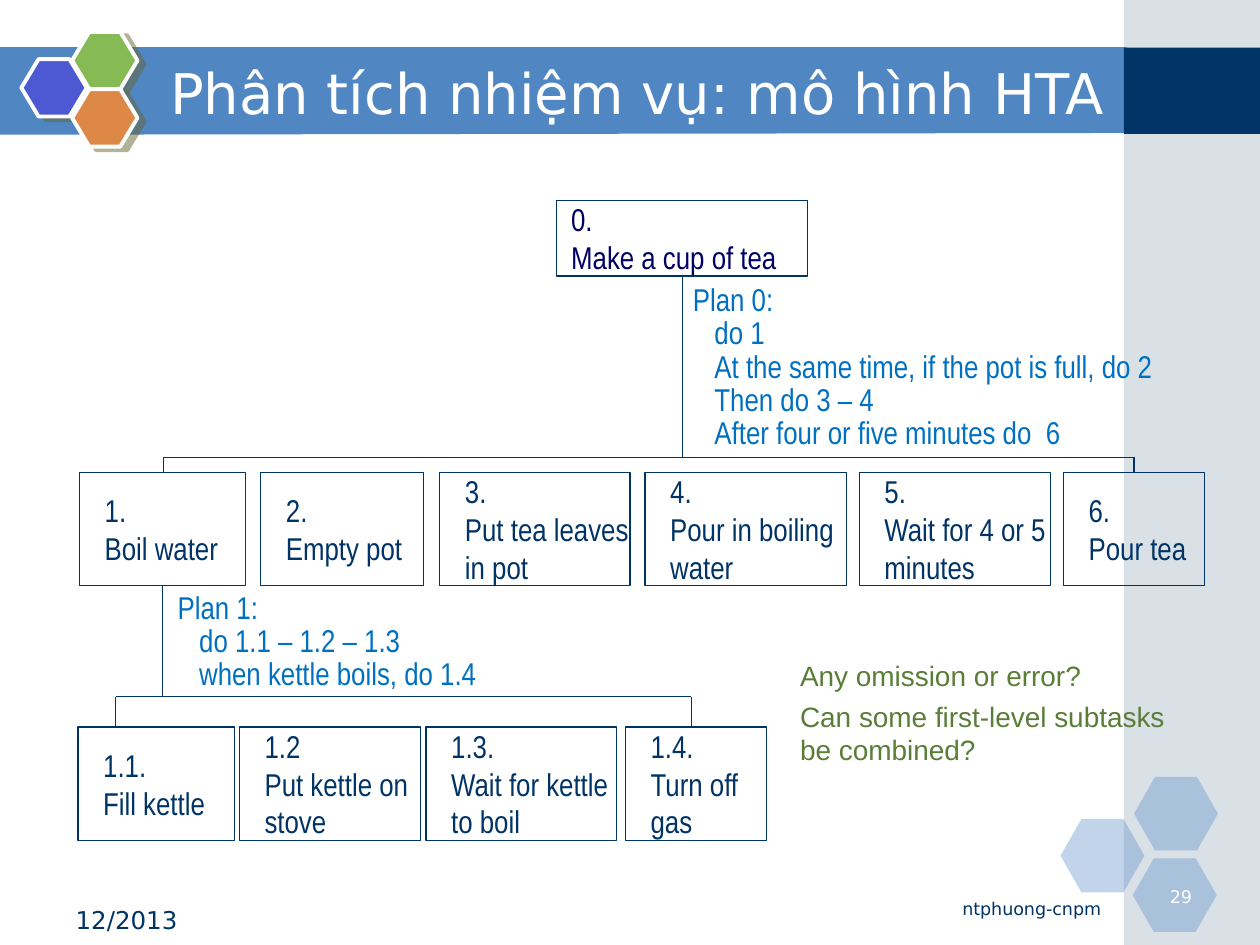
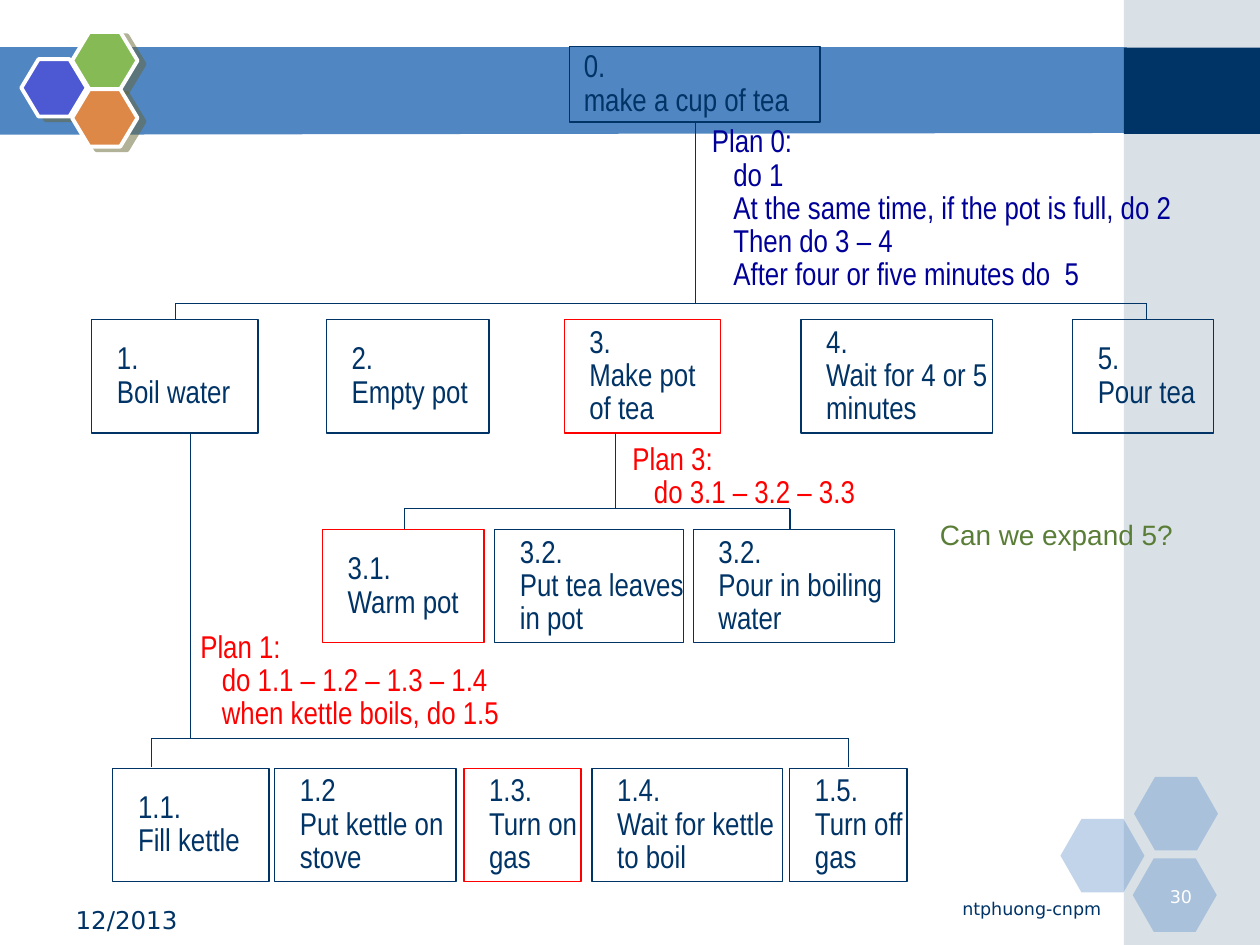
from lxml.etree import SubElement
from pptx import Presentation
from pptx.dml.color import RGBColor
from pptx.enum.shapes import MSO_CONNECTOR, MSO_SHAPE
from pptx.enum.text import MSO_ANCHOR, PP_ALIGN
from pptx.oxml.ns import qn
from pptx.util import Pt

HUES = {
    "navy": "003366", "band": "5086C2", "side": "A0B5C4", "white": "FFFFFF",
    "blue": "4C59D2", "lime": "85BA54", "orange": "DE8848", "shade": "666633",
    "root": "000066", "sky": "0070C0", "deep": "000099", "red": "FF0000",
    "moss": "5A7E38",
}
RECT, HEX = MSO_SHAPE.RECTANGLE, MSO_SHAPE.HEXAGON
BOX_H = 64.8
LEAD = 19  # line pitch of plans and of the second slide


def draw(slide, kind, at, fill=None, edge=None, thick=0.75, alpha=None):
    """Add a preset shape with plain fill and edge."""
    shape = slide.shapes.add_shape(kind, *map(Pt, at))
    shape.shadow.inherit = False
    if fill:
        shape.fill.solid()
        shape.fill.fore_color.rgb = RGBColor.from_string(HUES[fill])
    else:
        shape.fill.background()
    if alpha:
        tone = shape.fill._xPr.find(qn("a:solidFill"))[0]
        SubElement(tone, qn("a:alpha")).set("val", str(alpha * 1000))
    if edge:
        shape.line.color.rgb = RGBColor.from_string(HUES[edge])
        shape.line.width = Pt(thick)
    else:
        shape.line.fill.background()
    return shape


def write(slide, at, text, shape=None, size=18, font="Arial Narrow",
          hue="navy", align=PP_ALIGN.LEFT, anchor=MSO_ANCHOR.TOP,
          inset=0, lead=None, indent=0):
    """Write lines into a shape, or into a new text box at the given place."""
    shape = shape or slide.shapes.add_textbox(*map(Pt, at))
    frame = shape.text_frame
    frame.word_wrap = True
    frame.vertical_anchor = anchor
    frame.margin_left, frame.margin_right = Pt(inset), 0
    frame.margin_top = frame.margin_bottom = Pt(3.6)
    for i, line in enumerate(text.split("\n")):
        para = frame.paragraphs[0] if i == 0 else frame.add_paragraph()
        para.alignment = align
        if lead:
            para.line_spacing = Pt(lead)
        if i and indent:
            para._p.get_or_add_pPr().set("marL", str(Pt(indent)))
        run = para.add_run()
        run.text = line
        run.font.size, run.font.name = Pt(size), font
        run.font.color.rgb = RGBColor.from_string(HUES[hue])


PLAN = ("Plan 0:\ndo 1\nAt the same time, if the pot is full, do 2\n"
        "Then do 3 – 4\nAfter four or five minutes do  ")

# rows: top, then boxes (left, width, text, edge)
# trees: stem x, stem top, bar y, bar left, bar right, drop end
# plans and notes: left, top, width, text (and colour)
PAGES = [
    {
        "title": "Phân tích nhiệm vụ: mô hình HTA", "number": "29", "lead": None,
        "root": (318.2, 114.5, "0.\nMake a cup of tea", "root"),
        "rows": [
            (270, [
                (45.4, 95, "1.\nBoil water", "navy"),
                (149, 92.9, "2.\nEmpty pot", "navy"),
                (251.3, 108.7, "3.\nPut tea leaves in pot", "navy"),
                (368.6, 115.2, "4.\nPour in boiling water", "navy"),
                (491, 109.4, "5.\nWait for 4 or 5 minutes", "navy"),
                (607.7, 80.6, "6.\nPour tea", "navy")]),
            (415.4, [
                (44.6, 89.3, "1.1.\nFill kettle", "navy"),
                (136.8, 103.7, "1.2\nPut kettle on stove", "navy"),
                (243.4, 108.7, "1.3.\nWait for kettle to boil", "navy"),
                (357.4, 80.6, "1.4.\nTurn off gas", "navy")]),
        ],
        "trees": [(390.2, 158, 261.4, 93.4, 648, 270),
                  (92.9, 335, 398.2, 66.2, 395, 415)],
        "plans": [
            (396, 159.1, 288, PLAN + "6", "sky"),
            (101.5, 334.8, 206, "Plan 1:\ndo 1.1 – 1.2 – 1.3\n"
             "when kettle boils, do 1.4", "sky")],
        "notes": [(457.2, 373, 214, "Any omission or error?"),
                  (457.2, 396, 214,
                   "Can some first-level subtasks be combined?")],
    },
    {
        "title": None, "number": "30", "lead": LEAD,
        "root": (325.4, 26.6, "0.\nmake a cup of tea", "navy"),
        "rows": [
            (182.6, [
                (52.4, 95, "1.\nBoil water", "navy"),
                (186.5, 92.9, "2.\nEmpty pot", "navy"),
                (322.4, 89.3, "3.\nMake pot of tea", "red"),
                (457.7, 109.4, "4.\nWait for 4 or 5 minutes", "navy"),
                (612.9, 80.6, "5.\nPour tea", "navy")]),
            (302.6, [
                (184.3, 92.2, "3.1.\nWarm pot", "red"),
                (282.7, 108, "3.2.\nPut tea leaves in pot", "navy"),
                (396.2, 115.2, "3.2.\nPour in boiling water", "navy")]),
            (439, [
                (64.5, 89.3, "1.1.\nFill kettle", "navy"),
                (157, 103.7, "1.2\nPut kettle on stove", "navy"),
                (265.1, 67, "1.3.\nTurn on gas", "red"),
                (338.3, 108.7, "1.4.\nWait for kettle to boil", "navy"),
                (451.3, 67, "1.5.\nTurn off gas", "navy")]),
        ],
        "trees": [(397.4, 70, 173.4, 100.3, 655.2, 182.3),
                  (108.7, 248, 421.9, 86.4, 484.9, 438.5),
                  (351.8, 247.6, 290.7, 231, 451.4, 302.2)],
        "plans": [
            (406.8, 68.4, 288, PLAN + "5", "deep"),
            (114.5, 357.1, 216, "Plan 1:\ndo 1.1 – 1.2 – 1.3 – 1.4\n"
             "when kettle boils, do 1.5", "red"),
            (361.4, 249.8, 146, "Plan 3:\ndo 3.1 – 3.2 – 3.3", "red")],
        "notes": [(537.1, 292.3, 158, "Can we expand 5?")],
    },
]

deck = Presentation()
deck.slide_width, deck.slide_height = Pt(720), Pt(540)

for page in PAGES:
    slide = deck.slides.add_slide(deck.slide_layouts[6])

    # Title band and side strip
    pen = slide.shapes.build_freeform(-0.7, 27.2, scale=Pt(1))
    pen.add_line_segments([(644.4, 27.2), (644.4, 76.3), (-0.7, 77)])
    band = pen.convert_to_shape()
    band.shadow.inherit = False
    band.fill.solid()
    band.fill.fore_color.rgb = RGBColor.from_string(HUES["band"])
    band.line.fill.background()
    draw(slide, RECT, (642.2, 0, 77.8, 540), "side", alpha=40)
    draw(slide, RECT, (642.2, 27.2, 77.8, 49.3), "navy")

    # Hexagons: pale ones at the foot, bright ones with a shadow at the head
    for left, top in [(606, 468), (648, 444), (647.3, 490.5)]:
        cell = draw(slide, HEX, (left, top, 48, 42), "band", alpha=35)
        cell.adjustments[0] = 0.286
    for left, top, hue in [(12.2, 33.8, "blue"), (41.2, 18.2, "lime"),
                           (41.2, 51, "orange")]:
        cell = draw(slide, HEX, (left, top, 37.4, 32.8), hue, "white", 2.25)
        cell.adjustments[0] = 0.3
        effect = cell._element.spPr.find(qn("a:effectLst"))
        cast = SubElement(effect, qn("a:outerShdw"), blurRad="0",
                          dist=str(Pt(4.5)), dir=str(27 * 60000),
                          algn="ctr", rotWithShape="0")
        tone = SubElement(cast, qn("a:srgbClr"), val=HUES["shade"])
        SubElement(tone, qn("a:alpha"), val="50000")

    # Title and footers
    if page["title"]:
        write(slide, (97.2, 30.2, 622, 44.6), page["title"], size=32,
              font="DejaVu Sans", hue="white", anchor=MSO_ANCHOR.MIDDLE)
    write(slide, (43.2, 513.4, 153, 19.4), "12/2013", size=14,
          font="DejaVu Sans")
    for at, text, hue in [
            ((415.4, 509.8, 213.8, 18.7), "ntphuong-cnpm", "navy"),
            ((652.3, 502.6, 28.8, 18), page["number"], "white")]:
        write(slide, at, text, size=10, font="DejaVu Sans", hue=hue,
              align=PP_ALIGN.RIGHT)

    # Task boxes
    left, top, text, hue = page["root"]
    root = draw(slide, RECT, (left, top, 143.3, 43.2), edge="navy")
    write(slide, None, text, root, hue=hue, inset=8.2, lead=page["lead"],
          anchor=MSO_ANCHOR.MIDDLE)
    for top, row in page["rows"]:
        for left, width, text, edge in row:
            box = draw(slide, RECT, (left, top, width, BOX_H), edge=edge)
            write(slide, None, text, box, inset=14.4, lead=page["lead"],
                  anchor=MSO_ANCHOR.MIDDLE)

    # Tree lines: stem, bar and two drops
    for stem, start, bar, left, right, end in page["trees"]:
        for ends in [(stem, start, stem, bar), (left, bar, right, bar),
                     (left, bar, left, end), (right, bar, right, end)]:
            line = slide.shapes.add_connector(
                MSO_CONNECTOR.STRAIGHT, *map(Pt, ends))
            line.line.color.rgb = RGBColor.from_string(HUES["navy"])
            line.line.width = Pt(0.75)
            SubElement(line._element.spPr, qn("a:effectLst"))

    # Plans and questions
    for left, top, width, text, hue in page["plans"]:
        height = LEAD * len(text.split("\n")) + 7.2
        write(slide, (left, top, width, height), text, hue=hue, lead=LEAD,
              indent=12.3)
    for left, top, width, text in page["notes"]:
        write(slide, (left, top, width, 26.6), text, size=16, font="Arial",
              hue="moss", lead=page["lead"])

deck.save("out.pptx")
